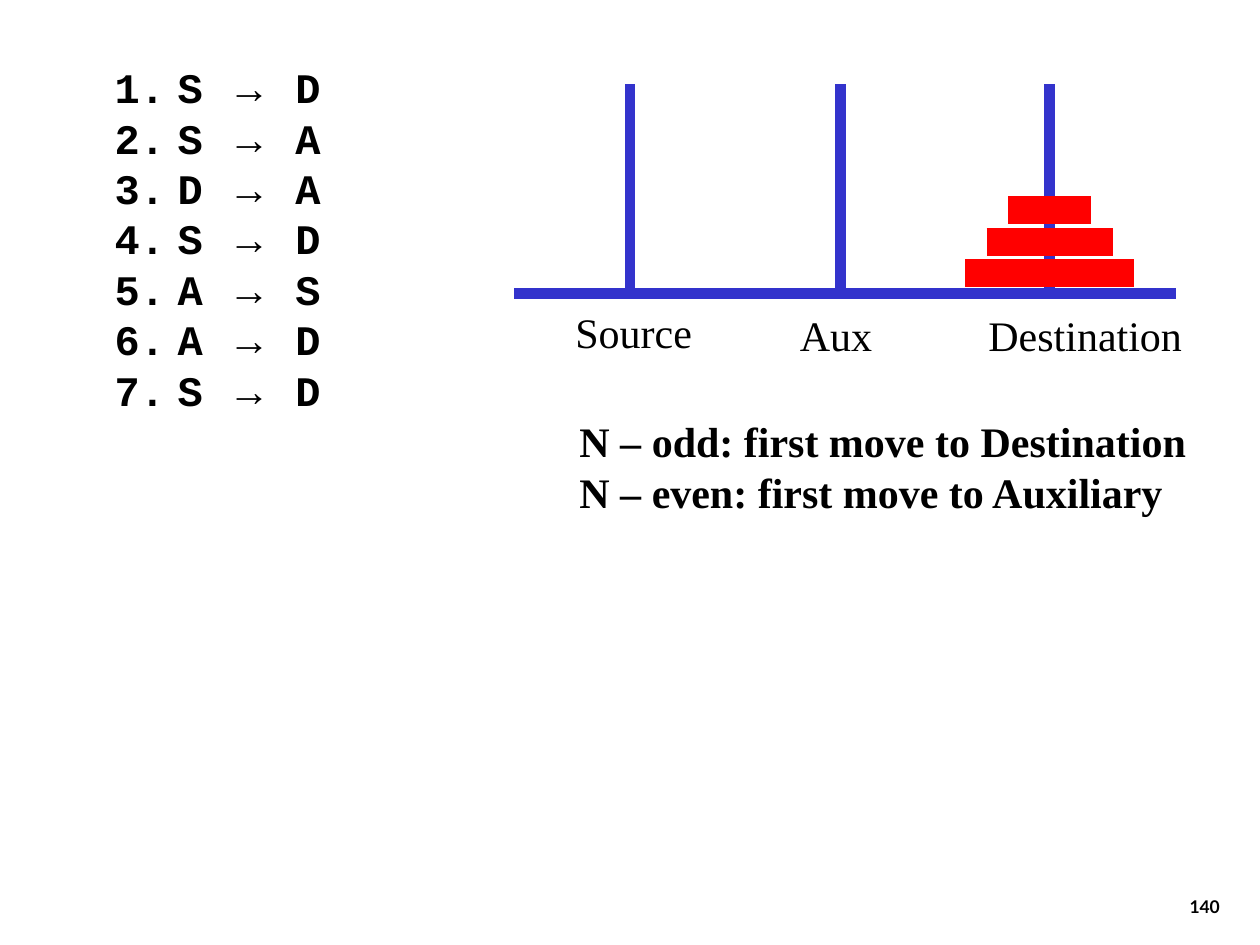
"""Builds the Towers of Hanoi slide with its list of moves for three discs."""
import pptx
import pptx.dml.color
import pptx.enum.shapes
import pptx.enum.text
import pptx.oxml
import pptx.oxml.ns
import pptx.util
from pptx.util import Inches

BLACK = pptx.dml.color.RGBColor(0x00, 0x00, 0x00)
PEG_BLUE = pptx.dml.color.RGBColor(0x33, 0x33, 0xCC)
DISC_RED = pptx.dml.color.RGBColor(0xFF, 0x00, 0x00)
LEFT = pptx.enum.text.PP_ALIGN.LEFT
RIGHT = pptx.enum.text.PP_ALIGN.RIGHT
TOP = pptx.enum.text.MSO_ANCHOR.TOP
BOTTOM = pptx.enum.text.MSO_ANCHOR.BOTTOM
FIT_SHAPE = pptx.enum.text.MSO_AUTO_SIZE.SHAPE_TO_FIT_TEXT
NO_FIT = pptx.enum.text.MSO_AUTO_SIZE.NONE
STRAIGHT = pptx.enum.shapes.MSO_CONNECTOR.STRAIGHT

MOVES = ["SD", "SA", "DA", "SD", "AS", "AD", "SD"]
PEG_XS = [5, 6.67, 8.33]
BASE_Y = 2.33
DISC_HALF_WIDTHS = [0.67, 0.5, 0.33]


class SlideBuilder:
    """Holds the text style and the slide being filled."""

    serif = "Times New Roman"
    mono = "Courier New"
    size = 24

    def __init__(self, slide):
        self.slide = slide

    def format_run(self, span, font, size, bold):
        """Set the font of one run."""
        span.font.name = font
        span.font.size = pptx.util.Pt(size)
        span.font.bold = bold
        span.font.color.rgb = BLACK

    def line(self, shapes, start, end, color, width):
        """Draw a straight line between two points in inches."""
        points = [Inches(value) for value in (*start, *end)]
        connector = shapes.add_connector(STRAIGHT, *points)
        connector.line.color.rgb = color
        connector.line.width = pptx.util.Pt(width)
        properties = connector._element.spPr
        properties.append(pptx.oxml.parse_xml(
            f"<a:effectLst {pptx.oxml.ns.nsdecls('a')}/>"))

    def text(self, place, text, align=LEFT, font=serif, size=size,
             bold=False, wrap=False, anchor=TOP):
        """Add a text box at left, top, width and height in inches."""
        box = self.slide.shapes.add_textbox(*map(Inches, place))
        frame = box.text_frame
        frame.text = text
        frame.word_wrap = wrap
        frame.auto_size = NO_FIT if wrap else FIT_SHAPE
        frame.vertical_anchor = anchor
        for para in frame.paragraphs:
            para.alignment = align
            for span in para.runs:
                self.format_run(span, font, size, bold)

    def number(self, para):
        """Give a paragraph an automatic number with a hanging indent."""
        properties = para._p.get_or_add_pPr()
        properties.set("marL", str(Inches(0.5)))
        properties.set("indent", str(-Inches(0.5)))
        for tag in ("<a:buClr {}><a:srgbClr val='000000'/></a:buClr>",
                    "<a:buFontTx {}/>",
                    "<a:buAutoNum {} type='arabicPeriod'/>"):
            properties.append(pptx.oxml.parse_xml(
                tag.format(pptx.oxml.ns.nsdecls("a"))))

    def move_list(self, place, moves):
        """Fill the body placeholder with the numbered moves."""
        body = self.slide.placeholders[1]
        body.left, body.top, body.width, body.height = map(Inches, place)
        frame = body.text_frame
        frame.text = "\n" * (len(moves) - 1)
        frame.word_wrap = False
        frame.auto_size = FIT_SHAPE
        frame.vertical_anchor = TOP
        for para, (origin, target) in zip(frame.paragraphs, moves):
            para.alignment = LEFT
            para.space_before = pptx.util.Pt(0)
            self.number(para)
            for text, font in ((f"{origin} ", self.mono), ("→", "Arial"),
                               (f" {target}", self.mono)):
                span = para.add_run()
                span.text = text
                self.format_run(span, font, self.size, True)

    def towers(self):
        """Draw the base, the pegs and the discs as one group."""
        shapes = self.slide.shapes.add_group_shape().shapes
        self.line(shapes, (4.08, BASE_Y), (9.33, BASE_Y), PEG_BLUE, 6)
        for x in PEG_XS:
            self.line(shapes, (x, 0.67), (x, BASE_Y), PEG_BLUE, 6)
        for level, half in enumerate(DISC_HALF_WIDTHS):
            y = 2.17 - 0.25 * level
            self.line(shapes, (PEG_XS[-1] - half, y),
                      (PEG_XS[-1] + half, y), DISC_RED, 16)


def main():
    """Build and save the deck."""
    deck = pptx.Presentation()
    deck.slide_width, deck.slide_height = Inches(10), Inches(7.5)
    slide = deck.slides.add_slide(deck.slide_layouts[1])
    title = slide.shapes.title._element
    title.getparent().remove(title)

    builder = SlideBuilder(slide)
    builder.towers()
    builder.text((4.44, 2.38, 1.15, 0.5), "Source", RIGHT)
    builder.text((7.72, 2.41, 1.76, 0.5), "Destination", RIGHT)
    builder.text((6.22, 2.41, 0.8, 0.5), "Aux", RIGHT)
    builder.move_list((0.81, 0.44, 1.87, 2.9), MOVES)
    builder.text((4.5, 3.25, 5.05, 0.9),
                 "N – odd: first move to Destination\n"
                 "N – even: first move to Auxiliary", bold=True)
    builder.text((7.7, 6.83, 2.08, 0.5), "140", RIGHT, font="Lato", size=10,
                 bold=True, wrap=True, anchor=BOTTOM)
    deck.save("out.pptx")


if __name__ == "__main__":
    main()
